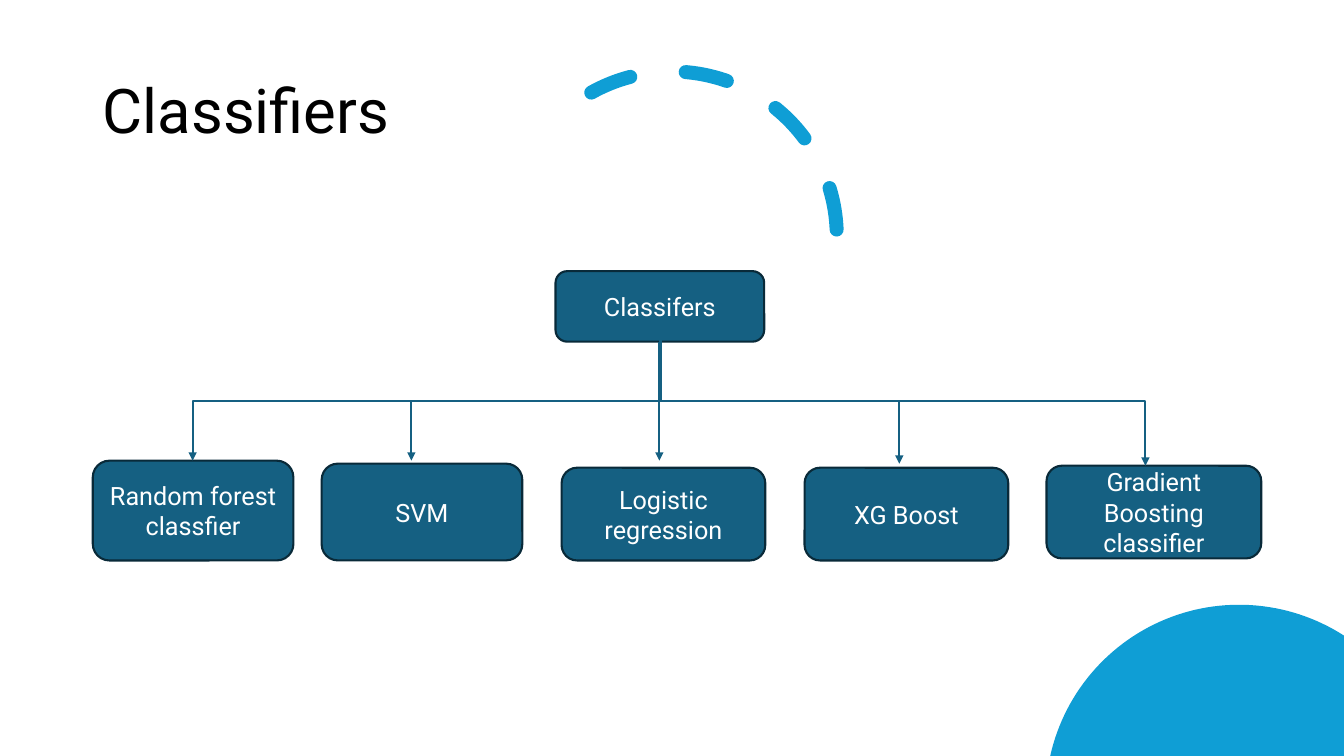
from dataclasses import dataclass
from math import acos, asin, cos, pi, sin

from lxml import etree
from pptx import Presentation
from pptx.dml.color import RGBColor
from pptx.enum.dml import MSO_LINE
from pptx.enum.shapes import MSO_CONNECTOR, MSO_SHAPE
from pptx.enum.text import MSO_ANCHOR, PP_ALIGN
from pptx.oxml.ns import qn
from pptx.util import Inches, Pt

ARC, ROUND = MSO_SHAPE.ARC, MSO_SHAPE.ROUNDED_RECTANGLE
STRAIGHT, ELBOW = MSO_CONNECTOR.STRAIGHT, MSO_CONNECTOR.ELBOW
DASH = MSO_LINE.DASH
MIDDLE = MSO_ANCHOR.MIDDLE
LEFT, CENTER = PP_ALIGN.LEFT, PP_ALIGN.CENTER

WIDE, HIGH = 13.33, 7.5
FONT = "Roboto"
SKY, TEAL, NAVY = "0F9ED5", "156082", "092A39"
BLACK, WHITE = "000000", "FFFFFF"


@dataclass
class Box:
    text: str
    x: float
    y: float
    w: float
    h: float


@dataclass
class Arrow:
    x1: float
    y1: float
    x2: float
    y2: float


BOXES = [
    Box("Classifers", 5.51, 2.69, 2.07, 0.7),
    Box("Random forest classfier", 0.92, 4.57, 1.99, 0.99),
    Box("SVM", 3.19, 4.6, 1.99, 0.96),
    Box("Logistic regression", 5.57, 4.64, 2.02, 0.92),
    Box("XG Boost", 7.98, 4.64, 2.02, 0.92),
    Box("Gradient Boosting classifier", 10.38, 4.62, 2.13, 0.92),
]
ARROWS = [
    Arrow(6.54, 3.39, 1.91, 4.57),
    Arrow(4.08, 3.98, 4.08, 4.57),
    Arrow(6.54, 3.9, 6.54, 4.57),
    Arrow(6.55, 3.34, 11.36, 4.62),
    Arrow(8.92, 3.98, 8.92, 4.6),
]


def color(code: str) -> RGBColor:
    return RGBColor.from_string(code)


def paint(shape, fill: str) -> None:
    shape.shadow.inherit = False
    shape.fill.solid()
    shape.fill.fore_color.rgb = color(fill)


def stroke(line, code: str, width: float) -> None:
    line.color.rgb = color(code)
    line.width = Pt(width)


def style(frame, size: float, code: str, align) -> None:
    frame.word_wrap = True
    frame.vertical_anchor = MIDDLE
    par = frame.paragraphs[0]
    par.alignment = align
    par.font.name = FONT
    par.font.size = Pt(size)
    par.font.color.rgb = color(code)


def draw_disc(shapes) -> None:
    """Circle cut off by the right and bottom slide edges."""
    cx, cy, r, steps = 12.29, 7.92, 1.92, 60
    start = pi + asin((cy - HIGH) / r)
    end = 2 * pi - acos((WIDE - cx) / r)
    turns = [start + (end - start) * i / steps for i in range(steps + 1)]
    rim = [(Inches(cx + r * cos(t)), Inches(cy + r * sin(t))) for t in turns]
    form = shapes.build_freeform(*rim[0])
    form.add_line_segments(rim[1:] + [(Inches(WIDE), Inches(HIGH))], close=True)
    disc = form.convert_to_shape()
    paint(disc, SKY)
    disc.line.fill.background()


def draw_arc(shapes) -> None:
    arc = shapes.add_shape(ARC, Inches(5.03), Inches(0.71), Inches(3.27), Inches(3.27))
    arc.shadow.inherit = False
    arc.adjustments[0] = 144.42
    arc.adjustments[1] = 0
    arc.fill.background()
    stroke(arc.line, SKY, 10)
    arc.line.dash_style = DASH
    arc.line._get_or_add_ln().set("cap", "rnd")


def draw_box(shapes, box: Box) -> None:
    shape = shapes.add_shape(ROUND, Inches(box.x), Inches(box.y), Inches(box.w), Inches(box.h))
    paint(shape, TEAL)
    stroke(shape.line, NAVY, 1.5)
    shape.text_frame.text = box.text
    style(shape.text_frame, 18, WHITE, CENTER)


def draw_arrow(shapes, a: Arrow) -> None:
    if a.x1 == a.x2:
        link = shapes.add_connector(STRAIGHT, Inches(a.x1), Inches(a.y1), Inches(a.x2), Inches(a.y2))
    else:
        # An elbow that leaves downwards is a sideways one turned by 90 degrees
        w, h = a.y2 - a.y1, abs(a.x2 - a.x1)
        x, y = (a.x1 + a.x2 - w) / 2, (a.y1 + a.y2 - h) / 2
        link = shapes.add_connector(ELBOW, Inches(x), Inches(y), Inches(x + w), Inches(y + h))
        frame = link._element.spPr.find(qn("a:xfrm"))
        right = a.x2 > a.x1
        frame.set("rot", str((270 if right else 90) * 60000))
        if right:
            frame.set("flipH", "1")
    stroke(link.line, TEAL, 1.5)
    etree.SubElement(link.line._get_or_add_ln(), qn("a:tailEnd"), type="triangle")
    etree.SubElement(link._element.spPr, qn("a:effectLst"))


def main() -> None:
    deck = Presentation()
    deck.slide_width, deck.slide_height = Inches(WIDE), Inches(HIGH)
    slide = deck.slides.add_slide(deck.slide_layouts[5])
    shapes = slide.shapes

    # Decoration
    draw_disc(shapes)
    draw_arc(shapes)

    # Title
    title = shapes.title
    title.left, title.top = Inches(0.92), Inches(0.4)
    title.width, title.height = Inches(11.5), Inches(1.45)
    title.text_frame.text = "Classifiers"
    style(title.text_frame, 44, BLACK, LEFT)
    title.text_frame.paragraphs[0].line_spacing = 0.9

    # Tree
    for box in BOXES:
        draw_box(shapes, box)
    for arrow in ARROWS:
        draw_arrow(shapes, arrow)

    deck.save("out.pptx")


if __name__ == "__main__":
    main()
